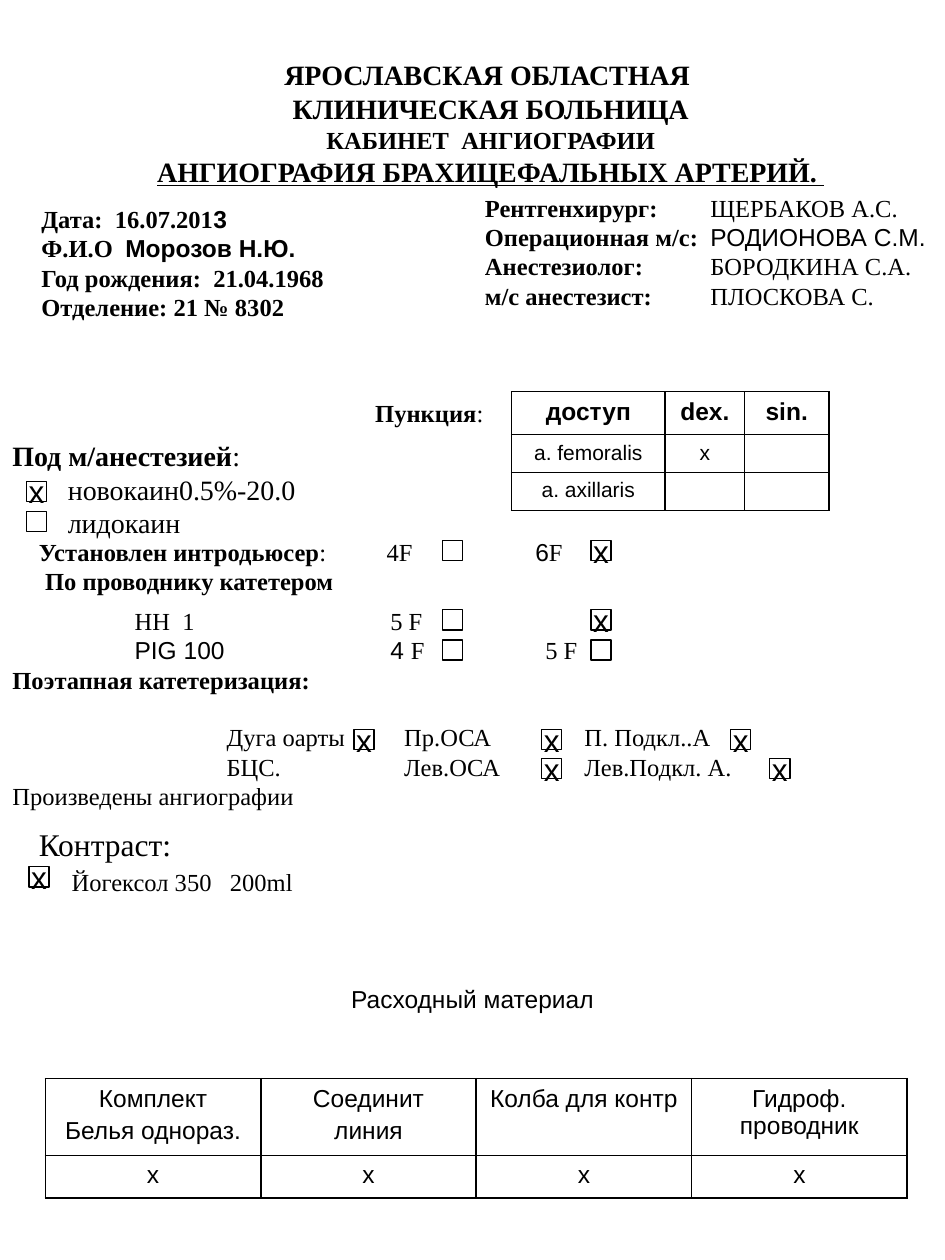
"""Build the angiography report form as a one-page slide."""
from lxml import etree
from pptx import Presentation
from pptx.dml.color import RGBColor
from pptx.enum import shapes, text
from pptx.oxml import ns
from pptx.util import Inches, Pt

THEME = dict(ink=RGBColor(0, 0, 0), serif="Times New Roman", sans="Arial",
             small=12, body=14, title=16, large=18, thin=0.75, rule=1)
BODY, TITLE, LARGE = THEME["body"], THEME["title"], THEME["large"]


def line(*runs, **options):
    return runs, options


# Run flags: b bold, s sans, u underlined
ACCESS_TABS = (0.97, 3.0, 4.23)
ARTERY_TABS = (1.7, 3.11, 4.54)
BLOCKS = [
    dict(at=(0.52, 0.35, 6.75, 1.48), inset=0.11, size=TITLE, align="CENTER", lines=[
        line(("ЯРОСЛАВСКАЯ ОБЛАСТНАЯ ", "b")),
        line(("КЛИНИЧЕСКАЯ БОЛЬНИЦА", "b")),
        line(("КАБИНЕТ  АНГИОГРАФИИ", "b"), size=BODY),
        line(("АНГИОГРАФИЯ БРАХИЦЕФАЛЬНЫХ АРТЕРИЙ. ", "bu"))]),
    dict(at=(0, 2.95, 3.42, 2.05), inset=0.53, size=TITLE, tabs=(0.44,), lines=[
        line(("Под м/анестезией", "b"), (":", "")),
        line(("\tновокаин0.5%-20.0", "")),
        line(("\tлидокаин", ""))]),
    dict(at=(2.88, 3.11, 1.06, 0.33), wrap=False, lines=[
        line(("Пункция", "b"), (":", ""))]),
    dict(at=(0.21, 4.21, 6.32, 0.57), tabs=(0.05, 2.76, 3.94), lines=[
        line(("Установлен интродьюсер", "b"), (":\t4F\t", ""), ("6", "s"), ("F", "")),
        line(("\tПо проводнику катетером", "b"))]),
    dict(at=(0.21, 6.5, 3.72, 1.38), tabs=(0.26,), lines=[
        line(("Контраст:", ""), size=LARGE),
        line(("\tЙогексол 350   200ml", ""), before=2)]),
    dict(at=(0, 7.76, 7.5, 1.03), align="CENTER", lines=[
        line(("Расходный материал", "s"))]),
    dict(at=(0, 4.76, 7.5, 1.99), lines=[
        line(("\tНН  1\t5 F", ""), tabs=ACCESS_TABS),
        line(("\tРIG 100\t4 ", "s"), ("F\t5 F", ""), tabs=ACCESS_TABS),
        line(("Поэтапная катетеризация:", "b")),
        line(("\tДуга оарты\tПр.ОСА\tП. Подкл..А", ""), tabs=ARTERY_TABS, before=16),
        line(("\tБЦС.\tЛев.ОСА\tЛев.Подкл. А.", ""), tabs=ARTERY_TABS),
        line(("Произведены ангиографии", ""))]),
    dict(at=(3.75, 1.48, 3.75, 1.04), tabs=(1.79,), lines=[
        line(("Рентгенхирург:\t", "b"), ("ЩЕРБАКОВ А.С.", "")),
        line(("Операционная м/с:\t", "b"), ("РОДИОНОВА С.М.", "s")),
        line(("Анестезиолог:\t", "b"), ("БОРОДКИНА С.А.", "")),
        line(("м/с анестезист:\t", "b"), ("ПЛОСКОВА С.", ""))]),
    dict(at=(0.23, 1.25, 2.58, 1.67), anchor="MIDDLE", lines=[
        line(("Дата:  16.07.201", "b"), ("3", "bs")),
        line(("Ф.И.О  ", "b"), ("Морозов Н.Ю.", "bs")),
        line(("Год рождения:  21.04.1968", "b")),
        line(("Отделение: 21 № 8302", "b"))]),
]
TICKED = [(0.21, 3.82), (4.69, 4.29), (4.69, 4.84), (2.81, 5.79), (4.3, 5.79),
          (5.8, 5.79), (4.3, 6.02), (6.11, 6.02), (0.23, 6.88)]
UNTICKED = [(0.21, 4.06), (3.51, 4.29), (3.51, 4.84), (3.51, 5.08), (4.69, 5.08)]
TICK, BOX_SIDE = "х", 0.16
TABLES = [
    dict(at=(4.06, 3.11), widths=(1.22, 0.63, 0.67), heights=(0.34, 0.3, 0.3),
         sizes=(BODY, THEME["small"], THEME["small"]), head="bs", edge=THEME["thin"],
         rows=[["доступ", "dex.", "sin."], ["a. femoralis", TICK, ""],
               ["a. axillaris", "", ""]]),
    dict(at=(0.36, 8.56), widths=(1.71,) * 4, heights=(0.61, 0.34),
         sizes=(BODY, BODY), head="s", edge=THEME["rule"],
         rows=[["Комплект\nБелья однораз.", "Соединит\nлиния", "Колба для контр",
                "Гидроф. проводник"], [TICK] * 4]),
]


def write(frame, lines, size=BODY, align="LEFT", tabs=(), anchor="TOP", wrap=True):
    frame.word_wrap = wrap
    frame.vertical_anchor = getattr(text.MSO_ANCHOR, anchor)
    for index, (runs, options) in enumerate(lines):
        paragraph = frame.add_paragraph() if index else frame.paragraphs[0]
        paragraph.alignment = getattr(text.PP_ALIGN, align)
        if "before" in options:
            paragraph.space_before = Pt(options["before"])
        stops = options.get("tabs", tabs)
        if stops:
            tab_list = etree.SubElement(paragraph._p.get_or_add_pPr(), ns.qn("a:tabLst"))
            for stop in stops:
                etree.SubElement(tab_list, ns.qn("a:tab"), pos=str(Inches(stop)), algn="l")
        for words, flags in runs:
            run = paragraph.add_run()
            run.text = words
            font = run.font
            font.size = Pt(options.get("size", size))
            font.name = THEME["sans" if "s" in flags else "serif"]
            font.bold = "b" in flags
            font.underline = "u" in flags
            font.color.rgb = THEME["ink"]


def add_block(slide, at, lines, inset=0.05, **layout):
    frame = slide.shapes.add_textbox(*map(Inches, at)).text_frame
    frame.margin_top = Inches(inset)
    write(frame, lines, **layout)


def add_checkbox(slide, left, top, mark=""):
    box = slide.shapes.add_shape(shapes.MSO_SHAPE.RECTANGLE,
                                 *map(Inches, (left, top, BOX_SIDE, BOX_SIDE)))
    box.shadow.inherit = False
    box.fill.background()
    box.line.color.rgb = THEME["ink"]
    box.line.width = Pt(THEME["thin"])
    if mark:
        write(box.text_frame, [line((mark, "s"))], size=LARGE, align="CENTER",
              anchor="MIDDLE", wrap=False)


def set_borders(cell, widths):
    for side, width in zip("LRTB", widths):
        border = etree.SubElement(cell._tc.get_or_add_tcPr(), ns.qn(f"a:ln{side}"),
                                  w=str(Pt(width)))
        fill = etree.SubElement(border, ns.qn("a:solidFill"))
        etree.SubElement(fill, ns.qn("a:srgbClr"), val=str(THEME["ink"]))


def add_grid(slide, at, widths, heights, sizes, head, edge, rows):
    extent = (*at, sum(widths), sum(heights))
    table = slide.shapes.add_table(len(heights), len(widths), *map(Inches, extent)).table
    table.first_row = table.horz_banding = False
    for column, width in zip(table.columns, widths):
        column.width = Inches(width)
    for r, (entries, height, size) in enumerate(zip(rows, heights, sizes)):
        table.rows[r].height = Inches(height)
        for c, entry in enumerate(entries):
            cell = table.cell(r, c)
            outer = (c == 0, c == len(widths) - 1, r == 0, r == len(heights) - 1)
            set_borders(cell, [edge if is_outer else THEME["rule"] for is_outer in outer])
            cell.fill.background()
            if entry:
                flags = "s" if r else head
                lines = [line((part, flags), **({"before": 0.2 * size} if i else {}))
                         for i, part in enumerate(entry.split("\n"))]
                write(cell.text_frame, lines, size=size, align="CENTER")
            else:
                end = cell.text_frame.paragraphs[0]._p.get_or_add_endParaRPr()
                end.set("sz", str(size * 100))


def main():
    deck = Presentation()
    deck.slide_width, deck.slide_height = Inches(7.5), Inches(10)
    slide = deck.slides.add_slide(deck.slide_layouts[6])
    for block in BLOCKS:
        add_block(slide, **block)
    for spot in TICKED:
        add_checkbox(slide, *spot, mark=TICK)
    for spot in UNTICKED:
        add_checkbox(slide, *spot)
    for grid in TABLES:
        add_grid(slide, **grid)
    deck.save("out.pptx")


if __name__ == "__main__":
    main()
